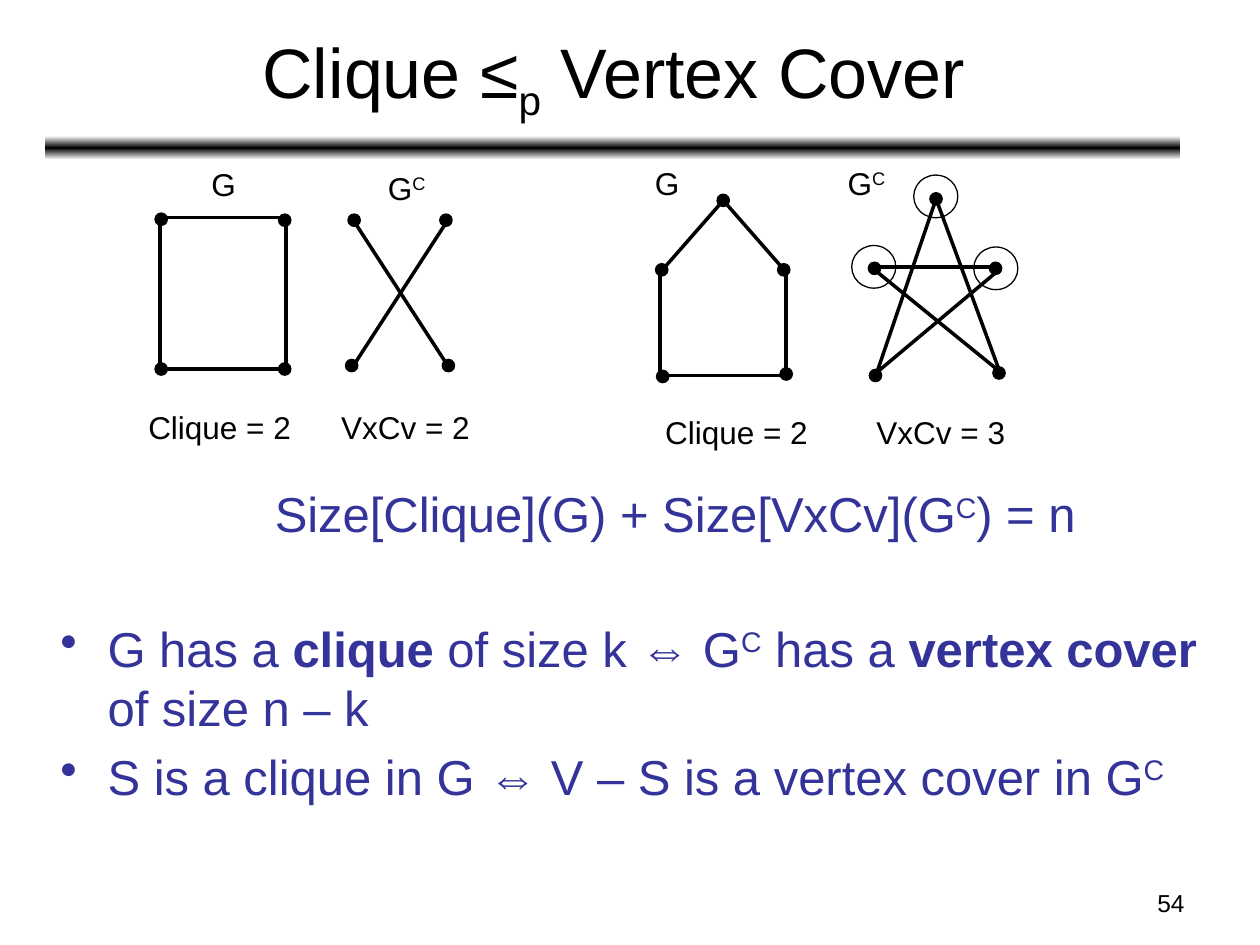
from copy import deepcopy

from pptx import Presentation
from pptx.dml.color import RGBColor
from pptx.enum.shapes import MSO_CONNECTOR, MSO_SHAPE
from pptx.enum.text import MSO_ANCHOR, PP_ALIGN
from pptx.oxml.ns import qn
from pptx.oxml.xmlchemy import OxmlElement
from pptx.util import Cm, Pt

RECT, OVAL, ROUNDED = MSO_SHAPE.RECTANGLE, MSO_SHAPE.OVAL, MSO_SHAPE.ROUNDED_RECTANGLE
LEFT, CENTER, RIGHT = PP_ALIGN.LEFT, PP_ALIGN.CENTER, PP_ALIGN.RIGHT
TOP, MIDDLE = MSO_ANCHOR.TOP, MSO_ANCHOR.MIDDLE
STRAIGHT = MSO_CONNECTOR.STRAIGHT
BLACK, WHITE, INDIGO = "000000", "FFFFFF", "333399"
DOT = 0.25
rgb = RGBColor.from_string

prs = Presentation()
prs.slide_width, prs.slide_height = Cm(25.4), Cm(19.05)
s = prs.slides.add_slide(prs.slide_layouts[6])


def add_text(x, y, w, h, text, size=18, color=BLACK, align=LEFT, anchor=TOP, wrap=True):
    """Add one paragraph per line; | parts runs, led by ^ super, _ sub or * bold."""
    tf = s.shapes.add_textbox(Cm(x), Cm(y), Cm(w), Cm(h)).text_frame
    tf.word_wrap, tf.vertical_anchor = wrap, anchor
    for i, line in enumerate(text.split("\n")):
        p = tf.add_paragraph() if i else tf.paragraphs[0]
        p.alignment = align
        for part in line.split("|"):
            r = p.add_run()
            r.text = part.lstrip("^_*")
            r.font.name, r.font.size = "Arial", Pt(size)
            r.font.color.rgb = rgb(color)
            r.font.bold = part.startswith("*")
            if part[0] in "^_":
                r.font._element.set("baseline", "30000" if part[0] == "^" else "-25000")
    return tf


def add_shape(kind, x, y, w, h, fill=None, width=0.75):
    sp = s.shapes.add_shape(kind, Cm(x), Cm(y), Cm(w), Cm(h))
    sp.shadow.inherit = False
    if fill:
        sp.fill.solid()
        sp.fill.fore_color.rgb = rgb(fill)
    else:
        sp.fill.background()
    if width:
        sp.line.color.rgb = rgb(BLACK)
        sp.line.width = Pt(width)
    else:
        sp.line.fill.background()
    return sp


# Title and gradient rule
bar = add_shape(ROUNDED, 0.91, 2.74, 22.89, 0.48, width=0)
bar.fill.gradient()
bar.fill.gradient_angle = 90
stop_list = bar._element.spPr.find(".//" + qn("a:gsLst"))
stop_list.insert(1, deepcopy(stop_list[0]))
for stop, position, color in zip(bar.fill.gradient_stops, (0, 0.5, 1), (WHITE, BLACK, WHITE)):
    stop.position = position
    stop.color.rgb = rgb(color)
add_text(0.94, 0.28, 22.86, 2.51, "Clique ≤|_p| Vertex Cover", size=40,
         align=CENTER, anchor=MIDDLE)
add_text(18.21, 17.78, 5.92, 0.89, "54", size=14, align=RIGHT)

# Formula and bullets
tf = add_text(0.97, 9.63, 23.72, 8.51,
              "Size[Clique](G) + Size[VxCv](G|^C|) = n\n"
              "G has a |*clique| of size k ⇔ G|^C| has a |*vertex cover| of size n – k\n"
              "S is a clique in G ⇔ V – S is a vertex cover in G|^C",
              size=28, color=INDIGO)
formula, *bullets = tf.paragraphs
formula._p.get_or_add_pPr().set("marL", str(Cm(4.32)))
for p, gap in zip(bullets, (43.4, 5.6)):
    pPr = p._p.get_or_add_pPr()
    pPr.set("marL", str(Cm(0.95)))
    pPr.set("indent", str(-Cm(0.95)))
    bullet = OxmlElement("a:buChar")
    bullet.set("char", "•")
    pPr.append(bullet)
    p.space_before = Pt(gap)

# Each graph: box, edges (x1, y1, x2, y2), vertex centres
square = ((3.23, 4.39, 2.54, 3.05), [],
          [(3.25, 4.42), (5.74, 4.44), (3.25, 7.44), (5.74, 7.44)])
cross = (None,
         [(7.11, 4.42, 9.09, 7.47), (9.04, 4.42, 7.06, 7.47)],
         [(7.14, 4.44), (8.99, 4.44), (7.09, 7.37), (9.04, 7.37)])
house = ((13.31, 5.51, 2.54, 2.06),
         [(13.31, 5.49, 14.58, 4.04), (15.85, 5.49, 14.58, 4.04),
          (13.34, 5.51, 15.82, 5.51, WHITE, 3)],  # hides the top of the box
         [(14.58, 4.04), (13.34, 5.44), (15.8, 5.44), (15.85, 7.54), (13.36, 7.59)])
star = (None,
        [(17.65, 7.59, 18.87, 4.01), (20.19, 7.59, 18.87, 4.01),
         (17.65, 5.38, 20.09, 5.38), (17.63, 5.44, 20.19, 7.52),
         (20.14, 5.44, 17.6, 7.57)],
        [(18.87, 4.01), (17.63, 5.41), (20.07, 5.41), (20.14, 7.52), (17.65, 7.57)])

for box, edges, vertices in (square, cross, house, star):
    if box:
        add_shape(RECT, *box, fill=WHITE, width=2)
    for x1, y1, x2, y2, *look in edges:
        color, width = look or (BLACK, 2)
        edge = s.shapes.add_connector(STRAIGHT, Cm(x1), Cm(y1), Cm(x2), Cm(y2))
        edge.line.color.rgb = rgb(color)
        edge.line.width = Pt(width)
        edge._element.spPr.append(OxmlElement("a:effectLst"))
    for x, y in vertices:
        add_shape(OVAL, x - DOT / 2, y - DOT / 2, DOT, DOT, fill=BLACK)

# Rings around the vertex cover
for x, y in ((17.17, 4.95), (18.42, 3.53), (19.63, 4.98)):
    add_shape(OVAL, x, y, 0.89, 0.86)

# Graph labels
for x, y, w, text in (
    (4.01, 3.2, 1.02, "G"), (7.57, 3.28, 1.32, "G|^C"),
    (12.95, 3.18, 1.02, "G"), (16.84, 3.18, 1.32, "G|^C"),
    (2.74, 8.1, 3.38, "Clique = 2"), (6.63, 8.1, 3.1, "VxCv = 2"),
    (13.16, 8.2, 3.38, "Clique = 2"), (17.42, 8.2, 3.1, "VxCv = 3"),
):
    add_text(x, y, w, 1.02, text, wrap=False)

prs.save("out.pptx")
